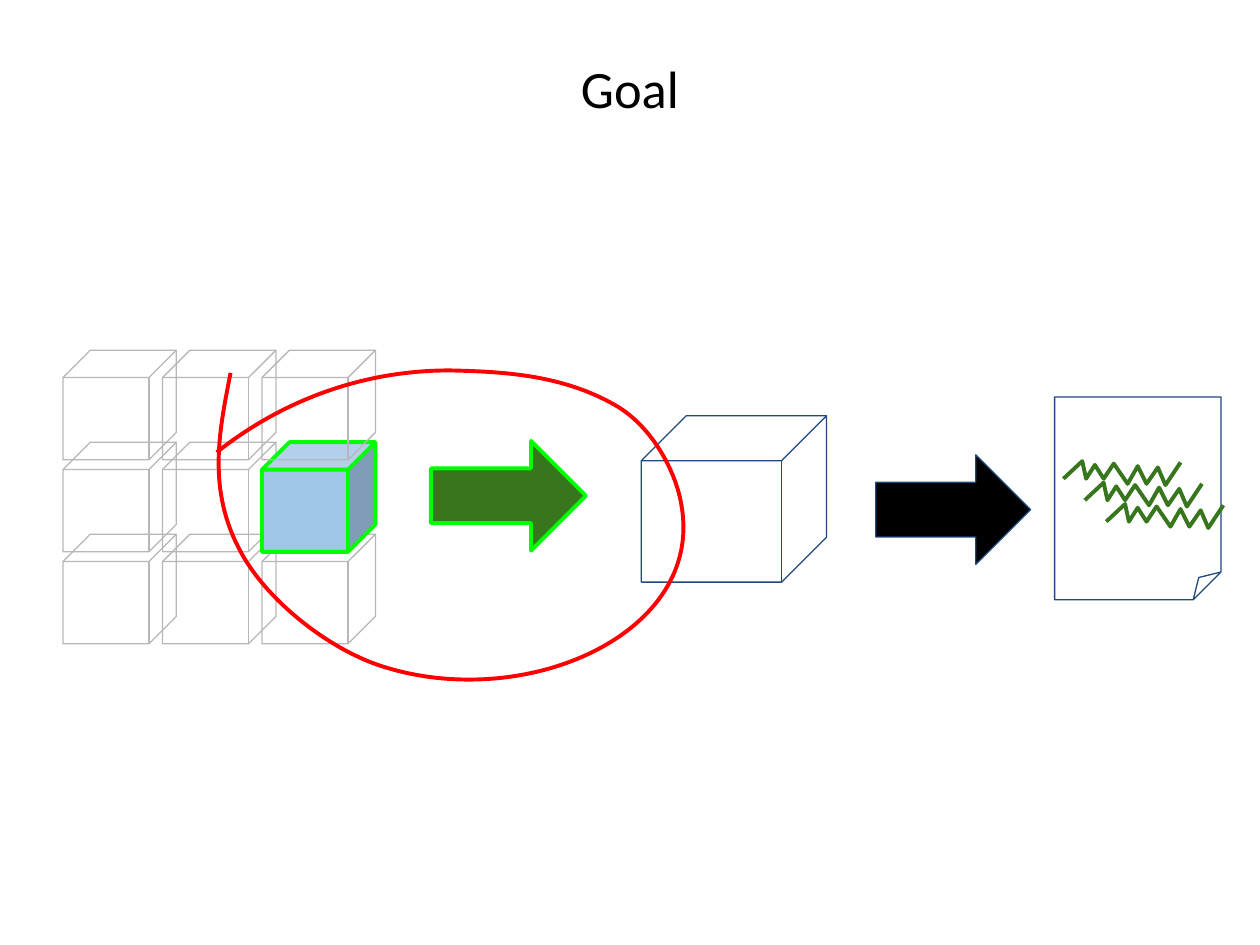
import pptx
import pptx.dml.color
import pptx.enum.shapes
import pptx.enum.text
import pptx.oxml.ns
import pptx.util
from lxml import etree
from pptx.util import Inches


class Theme:
    font = "Calibri"
    title_size = 30
    thin, thick = 0.75, 2.25
    black = "000000"
    grey = "B7B7B7"
    navy = "1F497D"
    sky = "9FC5E8"
    lime = "00FF00"
    green = "38761D"
    red = "FF0000"


def paint(shape, line, width, fill=None):
    shape.shadow.inherit = False
    shape.line.color.rgb = pptx.dml.color.RGBColor.from_string(line)
    shape.line.width = pptx.util.Pt(width)
    if fill:
        shape.fill.solid()
        shape.fill.fore_color.rgb = pptx.dml.color.RGBColor.from_string(fill)
    else:
        shape.fill.background()


def add_open_line(shapes, points, color):
    corners = [(Inches(x), Inches(y)) for x, y in points]
    builder = shapes.build_freeform(*corners[0], scale=1.0)
    builder.add_line_segments(corners[1:], close=False)
    shape = builder.convert_to_shape()
    paint(shape, color, Theme.thick)
    return shape


deck = pptx.Presentation()
deck.slide_width, deck.slide_height = Inches(10), Inches(7.5)
page = deck.slides.add_slide(deck.slide_layouts[6])
shapes = page.shapes
kinds = pptx.enum.shapes.MSO_SHAPE

# Title
title = shapes.add_textbox(Inches(0.5), Inches(0.3), Inches(9), Inches(0.79))
frame = title.text_frame
frame.word_wrap = True
frame.vertical_anchor = pptx.enum.text.MSO_ANCHOR.MIDDLE
frame.margin_left = frame.margin_right = Inches(0.1)
frame.margin_top = frame.margin_bottom = Inches(0.1)
frame.text = "Goal"
para = frame.paragraphs[0]
para.alignment = pptx.enum.text.PP_ALIGN.CENTER
para.font.name = Theme.font
para.font.size = pptx.util.Pt(Theme.title_size)
para.font.color.rgb = pptx.dml.color.RGBColor.from_string(Theme.black)

# Cube grid, stacked from the bottom row up, with one cube highlighted
for row in (2, 1, 0):
    for column in range(3):
        cube = shapes.add_shape(kinds.CUBE, Inches(0.5 + 0.79 * column),
                                Inches(2.78 + 0.73 * row), Inches(0.9), Inches(0.87))
        if (row, column) == (1, 2):
            paint(cube, Theme.lime, Theme.thick, Theme.sky)
        else:
            paint(cube, Theme.grey, Theme.thin)

# Arrows, single cube and result sheet
for kind, left, top, width, height, style in (
    (kinds.RIGHT_ARROW, 3.42, 3.5, 1.23, 0.87, (Theme.lime, Theme.thick, Theme.green)),
    (kinds.CUBE, 5.09, 3.3, 1.47, 1.32, (Theme.navy, Theme.thin)),
    (kinds.RIGHT_ARROW, 6.95, 3.61, 1.23, 0.87, (Theme.navy, Theme.thin, Theme.black)),
    (kinds.FOLDED_CORNER, 8.37, 3.15, 1.32, 1.61, (Theme.navy, Theme.thin)),
):
    shape = shapes.add_shape(kind, Inches(left), Inches(top), Inches(width), Inches(height))
    paint(shape, *style)
    if kind == kinds.CUBE:
        shape.adjustments[0] = 0.27

# Scribbled lines on the sheet
scribble = [(8.44, 3.8), (8.59, 3.66), (8.62, 3.8), (8.69, 3.69), (8.76, 3.8), (8.84, 3.68),
            (8.95, 3.84), (9.03, 3.7), (9.1, 3.84), (9.19, 3.71), (9.25, 3.85), (9.37, 3.67)]
for index in range(3):
    add_open_line(shapes, [(x + 0.17 * index, y + 0.17 * index) for x, y in scribble],
                  Theme.green)

# Red loop: a start point, then two control points and an end point per curve
loop_points = [(1.83, 2.96),
               (1.75, 3.38), (1.64, 3.85), (1.89, 4.34),
               (2.09, 4.75), (2.62, 5.17), (3.07, 5.3),
               (4.2, 5.64), (5.58, 5.02), (5.41, 4.02),
               (5.37, 3.75), (5.18, 3.39), (4.89, 3.22),
               (4.46, 2.97), (3.98, 2.95), (3.57, 2.94),
               (2.83, 2.94), (2.2, 3.21), (1.72, 3.59)]
loop = add_open_line(shapes, loop_points, Theme.red)
qn = pptx.oxml.ns.qn
outline = next(loop.element.iter(qn("a:path")))
segments = outline.findall(qn("a:lnTo"))
for start in range(0, len(segments), 3):
    curve = etree.SubElement(outline, qn("a:cubicBezTo"))
    for segment in segments[start:start + 3]:
        curve.append(segment[0])
        outline.remove(segment)

deck.save("out.pptx")
